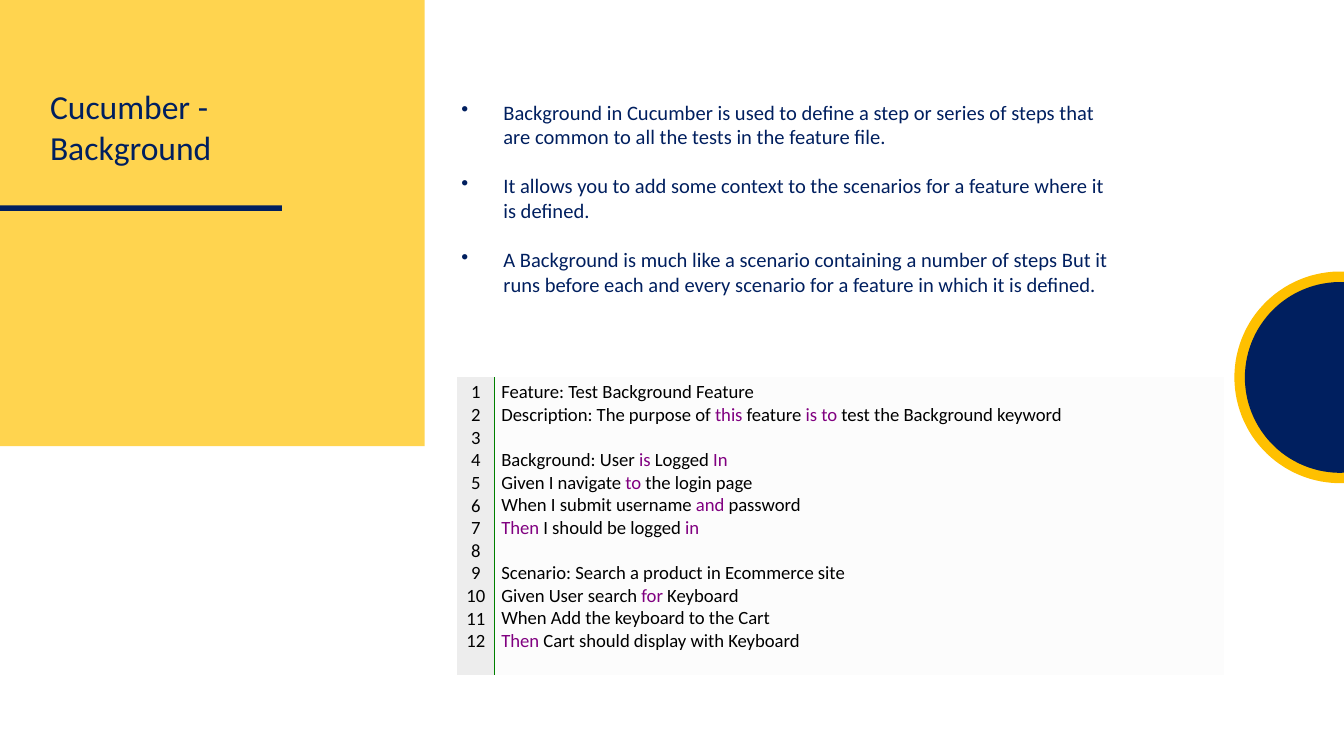
from math import acos, cos, pi, sin

from lxml.etree import SubElement
from pptx import Presentation
from pptx.dml.color import RGBColor
from pptx.enum.shapes import MSO_SHAPE
from pptx.enum.text import PP_ALIGN
from pptx.oxml import parse_xml
from pptx.oxml.ns import nsdecls, qn
from pptx.util import Pt

NAVY = RGBColor(0x00, 0x1F, 0x5F)
YELLOW = RGBColor(0xFF, 0xD4, 0x4F)
AMBER = RGBColor(0xFF, 0xC0, 0x00)
BLACK = RGBColor(0x00, 0x00, 0x00)
PURPLE = RGBColor(0x80, 0x00, 0x80)
NUMBER_FILL = RGBColor(0xED, 0xED, 0xED)
CODE_FILL = RGBColor(0xFC, 0xFC, 0xFC)
SLIDE_WIDTH, SLIDE_HEIGHT = 720, 405
NO_STYLE = "{2D5ABB26-0587-4C30-8999-92F81FD0307C}"

TITLE = ["Cucumber -", "Background"]
BULLETS = [
    "Background in Cucumber is used to define a step or series of steps that "
    "are common to all the tests in the feature file.",
    "It allows you to add some context to the scenarios for a feature where it is defined.",
    "A Background is much like a scenario containing a number of steps But it "
    "runs before each and every scenario for a feature in which it is defined.",
]
# Bars enclose the highlighted words; each group is followed by a blank line.
CODE_GROUPS = [
    ["Feature: Test Background Feature",
     "Description: The purpose of |this| feature |is to| test the Background keyword"],
    ["Background: User |is| Logged |In|",
     "Given I navigate |to| the login page",
     "When I submit username |and| password",
     "|Then| I should be logged |in|"],
    ["Scenario: Search a product in Ecommerce site",
     "Given User search |for| Keyboard",
     "When Add the keyboard to the Cart",
     "|Then| Cart should display with Keyboard"],
]


def add_text(text_frame, text, *, size, color, align=PP_ALIGN.LEFT, space_before=0, bullet=False):
    """Add a paragraph, using the empty first one if free; text between bars is purple."""
    paragraph = text_frame.paragraphs[-1]
    if paragraph.runs:
        paragraph = text_frame.add_paragraph()
    paragraph.alignment = align
    paragraph.space_before = Pt(space_before)
    if bullet:
        properties = paragraph._p.get_or_add_pPr()
        properties.set("marL", str(Pt(23.5)))
        properties.set("indent", str(Pt(-22.5)))
        SubElement(properties, qn("a:buChar"), char="•")
    for index, part in enumerate(text.split("|")):
        if part:
            run = paragraph.add_run()
            run.text = part
            run.font.name = "Calibri"
            run.font.size = Pt(size)
            run.font.color.rgb = PURPLE if index % 2 else color


def add_text_box(left, top, width, height):
    """Return the text frame of a wrapping text box without margins."""
    text_frame = slide.shapes.add_textbox(Pt(left), Pt(top), Pt(width), Pt(height)).text_frame
    text_frame.word_wrap = True
    text_frame.margin_left = text_frame.margin_right = 0
    text_frame.margin_top = text_frame.margin_bottom = 0
    return text_frame


presentation = Presentation()
presentation.slide_width = Pt(SLIDE_WIDTH)
presentation.slide_height = Pt(SLIDE_HEIGHT)
slide = presentation.slides.add_slide(presentation.slide_layouts[6])

# Title panel and rule
decorations = []
for top, width, height, color in [(0, 227.5, 239, YELLOW), (110, 151, 3, NAVY)]:
    shape = slide.shapes.add_shape(MSO_SHAPE.RECTANGLE, 0, Pt(top), Pt(width), Pt(height))
    decorations.append((shape, color))

# Discs cut off by the right edge of the slide
center_x, center_y, arc_steps = 718, 202.2, 60
for radius, color in [(56.7, AMBER), (51.1, NAVY)]:
    start = acos((SLIDE_WIDTH - center_x) / radius)
    angles = [start + (2 * pi - 2 * start) * step / arc_steps for step in range(arc_steps + 1)]
    points = [(Pt(center_x + radius * cos(angle)), Pt(center_y - radius * sin(angle)))
              for angle in angles]
    builder = slide.shapes.build_freeform(*points[0])
    builder.add_line_segments(points[1:], close=True)
    decorations.append((builder.convert_to_shape(), color))

for shape, color in decorations:
    shape.shadow.inherit = False
    shape.fill.solid()
    shape.fill.fore_color.rgb = color
    shape.line.fill.background()

# Title and bullets
title_frame = add_text_box(26.8, 46.3, 120, 45)
for line in TITLE:
    add_text(title_frame, line, size=18, color=NAVY)

bullet_frame = add_text_box(246.2, 53.4, 351.5, 108)
for index, line in enumerate(BULLETS):
    add_text(bullet_frame, line, size=11, color=NAVY, bullet=True,
             space_before=13 if index else 0)

# Code listing
table_shape = slide.shapes.add_table(1, 2, Pt(244.8), Pt(202.2), Pt(411), Pt(159.3))
table = table_shape.table
table.first_row = table.horz_banding = False
table._tbl.tblPr[0].text = NO_STYLE
number_cell, code_cell = table.cell(0, 0), table.cell(0, 1)
for column, cell, width, fill, left_margin, side in [
    (0, number_cell, 20.2, NUMBER_FILL, 0, "lnR"),
    (1, code_cell, 390.8, CODE_FILL, 3.6, "lnL"),
]:
    table.columns[column].width = Pt(width)
    cell.fill.solid()
    cell.fill.fore_color.rgb = fill
    cell.margin_left = Pt(left_margin)
    cell.margin_right = cell.margin_bottom = 0
    cell.margin_top = Pt(2)
    border = parse_xml(
        f'<a:{side} {nsdecls("a")} w="{Pt(0.75)}"><a:solidFill>'
        f'<a:srgbClr val="008000"/></a:solidFill></a:{side}>')
    cell._tc.get_or_add_tcPr().insert(0, border)

for number in range(1, 13):
    add_text(number_cell.text_frame, str(number), size=10, color=BLACK, align=PP_ALIGN.CENTER)
for group_index, group in enumerate(CODE_GROUPS):
    for line_index, line in enumerate(group):
        blank_line = 12 if group_index and not line_index else 0
        add_text(code_cell.text_frame, line, size=10, color=BLACK, space_before=blank_line)

presentation.save("out.pptx")
